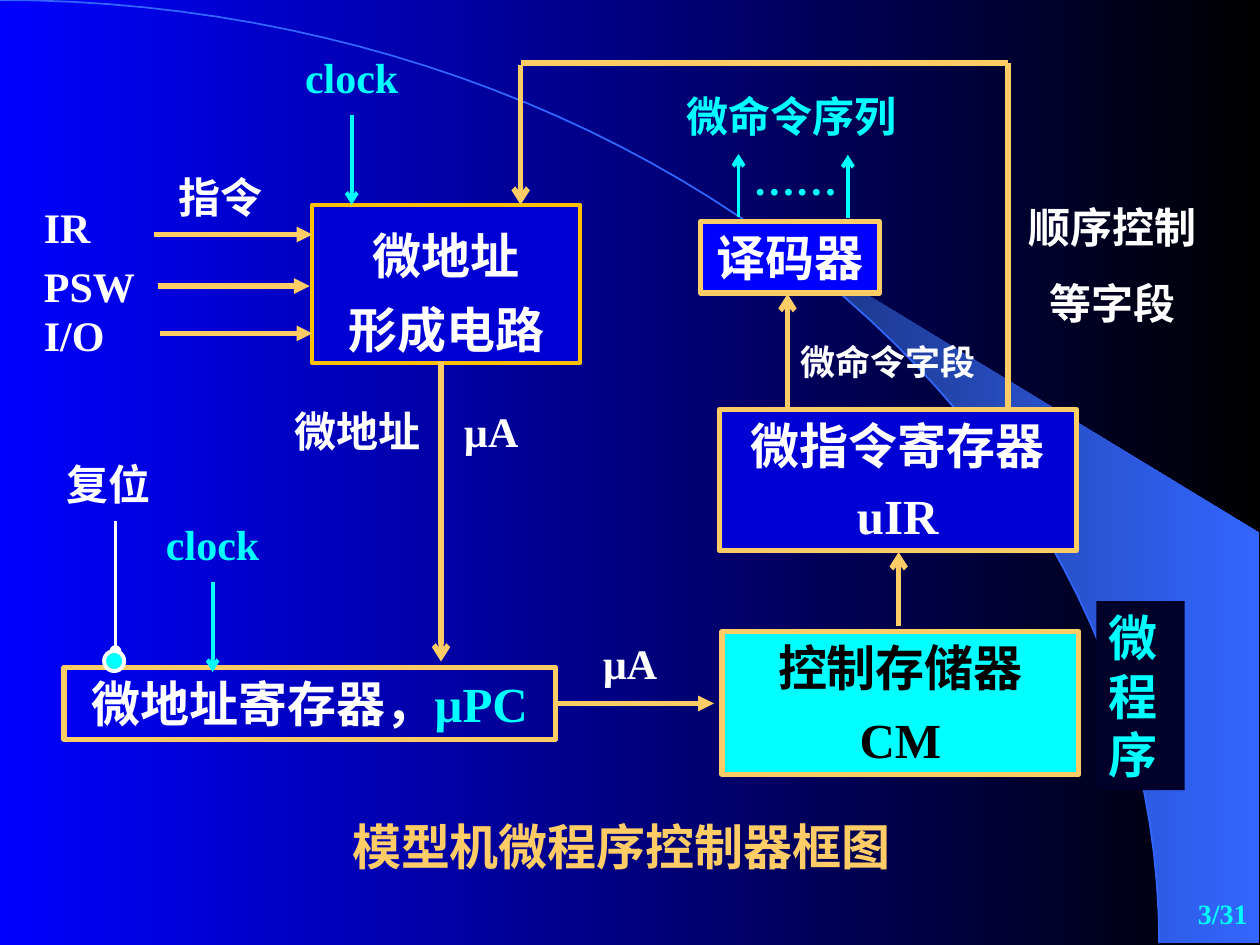
import math
from dataclasses import dataclass

from lxml import etree
from pptx import Presentation
from pptx.dml.color import RGBColor
from pptx.enum import shapes, text
from pptx.oxml.ns import qn
from pptx.util import Pt


@dataclass(frozen=True)
class Theme:
    gold: str = "FFCC66"
    amber: str = "FFC000"
    cyan: str = "00FFFF"
    white: str = "FFFFFF"
    black: str = "000000"
    blue: str = "0000FF"
    box: str = "0000D5"
    navy: str = "00002A"
    arc: str = "3366FF"
    wedge: str = "182F76"
    latin: str = "Times New Roman"
    cjk: str = "Noto Sans CJK SC"
    large: int = 28
    medium: int = 24
    small: int = 20
    page: int = 16
    thick: float = 3
    thin: float = 2.25


T = Theme()
LEFT, CENTER, RIGHT = text.PP_ALIGN.LEFT, text.PP_ALIGN.CENTER, text.PP_ALIGN.RIGHT
ARC_WIDTH, ARC_HEIGHT = 662.4, 539


def rgb(value):
    return RGBColor.from_string(value)


def paint_gradient(fill, start, end):
    fill.gradient()
    fill.gradient_angle = 0
    for stop, color in zip(fill.gradient_stops, (start, end)):
        stop.color.rgb = rgb(color)


def paint(sp, fill=None, line=None, width=T.thick):
    sp.shadow.inherit = False
    if fill:
        sp.fill.solid()
        sp.fill.fore_color.rgb = rgb(fill)
    else:
        sp.fill.background()
    if line:
        sp.line.color.rgb = rgb(line)
        sp.line.width = Pt(width)
    else:
        sp.line.fill.background()


def add_run(p, words, size, color, latin=T.latin):
    r = p.add_run()
    r.text = words
    font = r.font
    font.size, font.bold, font.name = Pt(size), True, latin
    font.color.rgb = rgb(color)
    etree.SubElement(r._r.get_or_add_rPr(), qn("a:ea")).set("typeface", T.cjk)


def write(sp, lines, size, color, align=LEFT, gap=0, spacing=None, anchor=text.MSO_ANCHOR.TOP):
    tf = sp.text_frame
    tf.word_wrap = True
    tf.auto_size = text.MSO_AUTO_SIZE.NONE
    tf.vertical_anchor = anchor
    for i, line in enumerate(lines):
        p = tf.add_paragraph() if i else tf.paragraphs[0]
        p.alignment = align
        p.space_before = Pt(gap if i else 0)
        if spacing:
            p.line_spacing = spacing
        for words, *style in [(line,)] if isinstance(line, str) else line:
            add_run(p, words, size, *(style or [color]))


def add_label(s, at, lines, size=T.medium, color=T.white, **layout):
    write(s.shapes.add_textbox(*map(Pt, at)), lines, size, color, **layout)


def add_box(s, at, lines, fill, line=T.gold, width=T.thick, color=T.white, align=CENTER, **layout):
    sp = s.shapes.add_shape(shapes.MSO_SHAPE.RECTANGLE, *map(Pt, at))
    paint(sp, fill, line, width)
    write(sp, lines, T.large, color, align, **layout)


def add_wire(s, start, end, color=T.gold, width=T.thick, head=None, tail=None):
    c = s.shapes.add_connector(shapes.MSO_CONNECTOR.STRAIGHT, *map(Pt, start + end))
    c.line.color.rgb = rgb(color)
    c.line.width = Pt(width)
    ln = c.line._get_or_add_ln()
    for tag, kind in (("a:headEnd", head), ("a:tailEnd", tail)):
        if kind:
            etree.SubElement(ln, qn(tag)).set("type", kind)
    etree.SubElement(c._element.spPr, qn("a:effectLst"))


def arc_points(first_degree):
    angles = [math.radians(first_degree + (90 - first_degree) * i / 50) for i in range(51)]
    return [(ARC_WIDTH * math.sin(a), ARC_HEIGHT * (1 - math.cos(a))) for a in angles]


def add_outline(s, points, close):
    pts = [(Pt(x), Pt(y)) for x, y in points]
    builder = s.shapes.build_freeform(*pts[0], scale=1.0)
    builder.add_line_segments(pts[1:], close=close)
    return builder.convert_to_shape()


def add_backdrop(s):
    paint_gradient(s.background.fill, T.blue, T.black)
    wedge = add_outline(s, arc_points(39.8) + [(719.5, ARC_HEIGHT), (719.5, 304.5)], True)
    paint(wedge)
    paint_gradient(wedge.fill, T.wedge, T.arc)
    paint(add_outline(s, arc_points(0), False), line=T.arc, width=1)


def add_title(s, words):
    sp = s.shapes.title
    sp.left, sp.top, sp.width, sp.height = map(Pt, (194, 463, 342, 41))
    write(sp, [words], T.large, T.gold)


def add_blocks(s):
    add_box(s, (36.5, 381.5, 281, 41), [[("微地址寄存器，", T.white, T.cjk), ("µPC", T.cyan)]], None)
    add_box(s, (400.5, 126.5, 102, 41), ["译码器"], T.blue)
    add_box(s, (411, 234, 204, 80.5), ["微指令寄存器", "uIR"], T.box, gap=6)
    add_box(s, (412.5, 361, 204, 81.5), ["控制存储器", "CM"], T.cyan, color=T.black, gap=7)
    add_box(s, (178.5, 117, 153, 90.5), ["微地址", "形成电路"], T.box, T.amber, T.thin, spacing=1.25)
    add_box(s, (626.5, 343.5, 50.5, 108), ["微程序"], T.navy, None, color=T.cyan, align=LEFT)


def add_wires(s):
    for start, end in [((513.5, 358), (513.5, 315.5)), ((450, 234), (450, 168)),
                       ((297.5, 37), (297.5, 117)), ((252, 207), (252, 378))]:
        add_wire(s, start, end, tail="arrow")
    add_wire(s, (576, 234), (576, 36))
    add_wire(s, (297.5, 36), (576, 36))
    for start, end in [((318, 402), (408, 402)), ((88, 134), (178.5, 134)),
                       ((90, 163.5), (177, 163.5)), ((91.5, 190.5), (178.5, 190.5))]:
        add_wire(s, start, end, tail="triangle")
    for start, end in [((422, 124), (422, 88)), ((484.5, 124.5), (484.5, 88.5)),
                       ((201, 66), (201, 117)), ((121.5, 332.5), (121.5, 384))]:
        add_wire(s, start, end, T.cyan, T.thin, tail="arrow")
    add_wire(s, (66, 372), (66, 298), T.white, T.thin, head="oval")
    reset = s.shapes.add_shape(shapes.MSO_SHAPE.OVAL, *map(Pt, (59.5, 372, 11.5, 11.5)))
    paint(reset, T.cyan, T.white, T.thin)


def add_labels(s):
    for words, left, top, width in [("IR", 18, 111.5, 72), ("PSW", 18, 145.5, 84),
                                    ("I/O", 18, 173.5, 58), ("微地址", 161.5, 228, 92),
                                    ("µA", 258, 228, 51), ("复位", 31, 258.5, 73.5)]:
        add_label(s, (left, top, width, 36), [words])
    for words, left, top, width, color in [("指令", 66, 94.5, 120, T.white),
                                           ("µA", 320.5, 360.5, 79, T.white),
                                           ("clock", 161.5, 26, 79, T.cyan),
                                           ("clock", 82, 293, 79, T.cyan)]:
        add_label(s, (left, top, width, 36), [words], color=color, align=CENTER)
    add_label(s, (423.5, 84, 66, 36), ["……"], color=T.cyan)
    add_label(s, (385, 48, 138, 36), ["微命令序列"], color=T.cyan)
    add_label(s, (450.5, 191, 138, 32), ["微命令字段"], T.small)
    add_label(s, (576, 111.5, 119, 80), ["顺序控制", "等字段"], align=CENTER, gap=15)
    add_label(s, (570, 504, 150, 36), ["3/31"], T.page, T.cyan, align=RIGHT,
              anchor=text.MSO_ANCHOR.MIDDLE)


def main():
    prs = Presentation()
    prs.slide_width, prs.slide_height = Pt(720), Pt(540)
    s = prs.slides.add_slide(prs.slide_layouts[5])
    add_backdrop(s)
    add_title(s, "模型机微程序控制器框图")
    add_blocks(s)
    add_wires(s)
    add_labels(s)
    prs.save("out.pptx")


if __name__ == "__main__":
    main()
